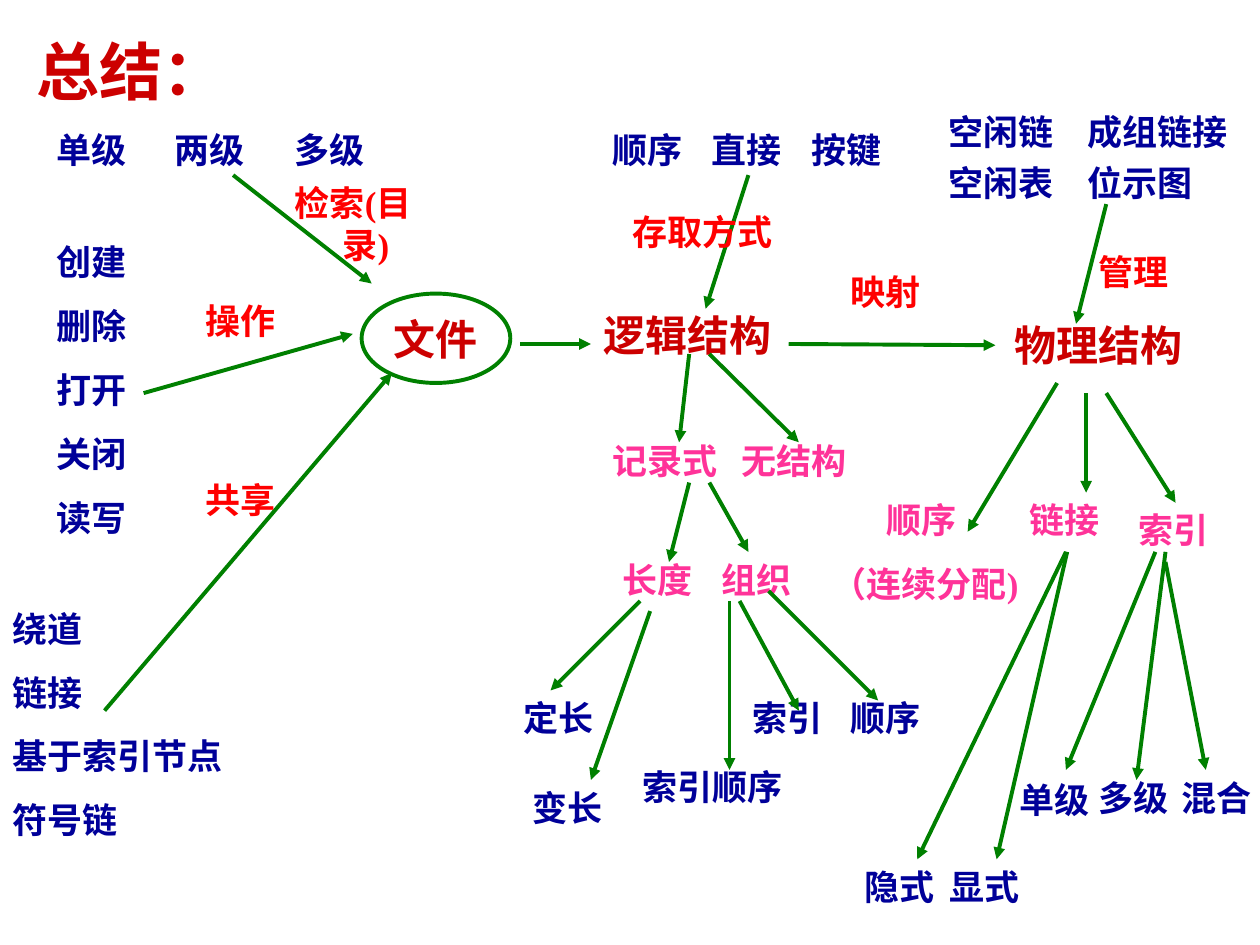
from lxml import etree
from pptx import Presentation
from pptx.dml.color import RGBColor
from pptx.enum.shapes import MSO_CONNECTOR, MSO_SHAPE
from pptx.enum.text import MSO_ANCHOR, MSO_AUTO_SIZE, PP_ALIGN
from pptx.oxml.ns import qn
from pptx.util import Emu, Pt

STRAIGHT = MSO_CONNECTOR.STRAIGHT
ELLIPSE = MSO_SHAPE.OVAL
TOP, MIDDLE = MSO_ANCHOR.TOP, MSO_ANCHOR.MIDDLE
FIT_SHAPE, NO_FIT = MSO_AUTO_SIZE.SHAPE_TO_FIT_TEXT, MSO_AUTO_SIZE.NONE
LEFT, CENTER = PP_ALIGN.LEFT, PP_ALIGN.CENTER

FONT = "Times New Roman"
DARK_RED, RED, PINK, BLUE, GREEN = "CC0000", "FF0000", "FF3399", "000099", "008000"
LINE_WIDTH = Pt(2.25)
HANGING = 38


def px(value):
    """100 px to the inch."""
    return Emu(value * 9144)


def color(value):
    return RGBColor.from_string(value)


class SlideBuilder:
    def __init__(self, slide):
        self.slide = slide

    def format_text(self, shape, lines, ink, size, align=LEFT, hanging=HANGING):
        frame = shape.text_frame
        frame.text = "\n".join(lines)
        for index, paragraph in enumerate(frame.paragraphs):
            paragraph.alignment = align
            paragraph.space_before = Pt(size * 0.625 if index else 0)
            properties = paragraph._p.get_or_add_pPr()
            properties.set("marL", str(px(hanging)))
            properties.set("indent", str(px(-hanging)))
            for run in paragraph.runs:
                run.font.name = FONT
                run.font.size = Pt(size)
                run.font.bold = True
                run.font.color.rgb = color(ink)
        return frame

    def title(self, text, left, top, width, height):
        shape = self.slide.shapes.title
        shape.left, shape.top, shape.width, shape.height = map(px, (left, top, width, height))
        frame = self.format_text(shape, [text], DARK_RED, 36)
        frame.vertical_anchor = TOP
        frame.auto_size = NO_FIT

    def label(self, lines, left, top, width, ink=BLUE, height=44, size=20):
        if isinstance(lines, str):
            lines = [lines]
        shape = self.slide.shapes.add_textbox(px(left), px(top), px(width), px(height))
        frame = self.format_text(shape, lines, ink, size)
        frame.word_wrap = True
        frame.auto_size = FIT_SHAPE
        return shape

    def ellipse(self, text, left, top, width, height):
        shape = self.slide.shapes.add_shape(ELLIPSE, px(left), px(top), px(width), px(height))
        shape.shadow.inherit = False
        shape.fill.background()
        shape.line.color.rgb = color(GREEN)
        shape.line.width = LINE_WIDTH
        frame = self.format_text(shape, [text], DARK_RED, 24, CENTER, 0)
        frame.vertical_anchor = MIDDLE
        frame.word_wrap = False

    def arrow(self, x1, y1, x2, y2):
        connector = self.slide.shapes.add_connector(STRAIGHT, px(x1), px(y1), px(x2), px(y2))
        connector.line.color.rgb = color(GREEN)
        connector.line.width = LINE_WIDTH
        etree.SubElement(connector.line._get_or_add_ln(), qn("a:tailEnd"), type="triangle")
        etree.SubElement(connector._element.spPr, qn("a:effectLst"))


def main():
    presentation = Presentation()
    presentation.slide_width, presentation.slide_height = px(1000), px(750)
    slide = presentation.slides.add_slide(presentation.slide_layouts[5])
    builder = SlideBuilder(slide)
    builder.title("总结：", 19, 21, 280, 70)

    # Main chain: file, logical structure, physical structure
    builder.ellipse("文件", 287, 233, 118, 71)
    builder.label("逻辑结构", 469, 241, 205, DARK_RED, 50, 24)
    builder.label("物理结构", 795, 249, 205, DARK_RED, 50, 24)

    # Evenly spaced rows along the top
    for index, text in enumerate(["单级", "两级", "多级"]):
        builder.label(text, 35 + round(index * 94.5), 97, 79)
    for index, text in enumerate(["顺序", "直接", "按键"]):
        builder.label(text, 476 + index * 79, 97, 79)
    for row, pair in enumerate([("空闲链", "成组链接"), ("空闲表", "位示图")]):
        for column, text in enumerate(pair):
            builder.label(text, 743 + column * 110, 83 + row * 40, 149 if column else 118)

    # Lists on the left
    builder.label(["创建", "删除", "打开", "关闭", "读写"], 35, 186, 79, height=297)
    builder.label(["绕道", "链接", "基于索引节点", "符号链"], 0, 477, 224, height=196)

    # Kinds of structure
    for text, left, top, width in [
        ("记录式", 476, 344, 134), ("无结构", 579, 344, 110),
        ("长度", 484, 438, 94), ("组织", 563, 438, 85),
        ("链接", 807, 391, 79), ("索引", 894, 399, 79),
    ]:
        builder.label(text, left, top, width, PINK)
    sequential = builder.label(["顺序", "（连续分配)"], 650, 391, 189, PINK, 94)
    properties = sequential.text_frame.paragraphs[0]._p.get_or_add_pPr()
    properties.set("marL", str(px(44)))
    properties.set("indent", "0")

    # Leaves
    for text, left, top, width in [
        ("定长", 406, 548, 90), ("变长", 413, 619, 90), ("索引顺序", 500, 603, 142),
        ("索引", 587, 548, 79), ("顺序", 665, 548, 90),
        ("隐式", 676, 682, 79), ("显式", 744, 682, 79),
        ("单级", 799, 613, 79), ("多级", 862, 611, 79), ("混合", 928, 611, 79),
    ]:
        builder.label(text, left, top, width)

    # Arrows
    for ends in [
        # into and along the main chain
        (185, 139, 295, 225), (114, 312, 280, 265), (83, 564, 311, 296),
        (413, 273, 469, 273), (626, 273, 790, 274),
        (594, 139, 560, 245), (878, 162, 854, 257),
        # below the logical structure
        (563, 281, 634, 351), (547, 281, 539, 351),
        (547, 383, 531, 446), (563, 383, 594, 438),
        (508, 477, 437, 548), (516, 485, 469, 619),
        (579, 477, 579, 611), (587, 477, 634, 564), (610, 469, 697, 556),
        # below the physical structure
        (839, 304, 768, 422), (862, 312, 862, 391), (878, 312, 933, 399),
        (846, 438, 728, 682), (847, 438, 791, 682),
        (917, 438, 846, 611), (925, 438, 902, 619), (925, 446, 957, 611),
    ]:
        builder.arrow(*ends)

    # Names of the relations, on top of the arrows
    for text, left, top, width, height in [
        ("检索(目录)", 224, 139, 142, 77), ("操作", 153, 233, 94, 44),
        ("共享", 153, 375, 94, 44), ("存取方式", 492, 162, 145, 44),
        ("映射", 665, 210, 87, 44), ("管理", 862, 194, 94, 44),
    ]:
        builder.label(text, left, top, width, RED, height)

    presentation.save("out.pptx")


if __name__ == "__main__":
    main()
